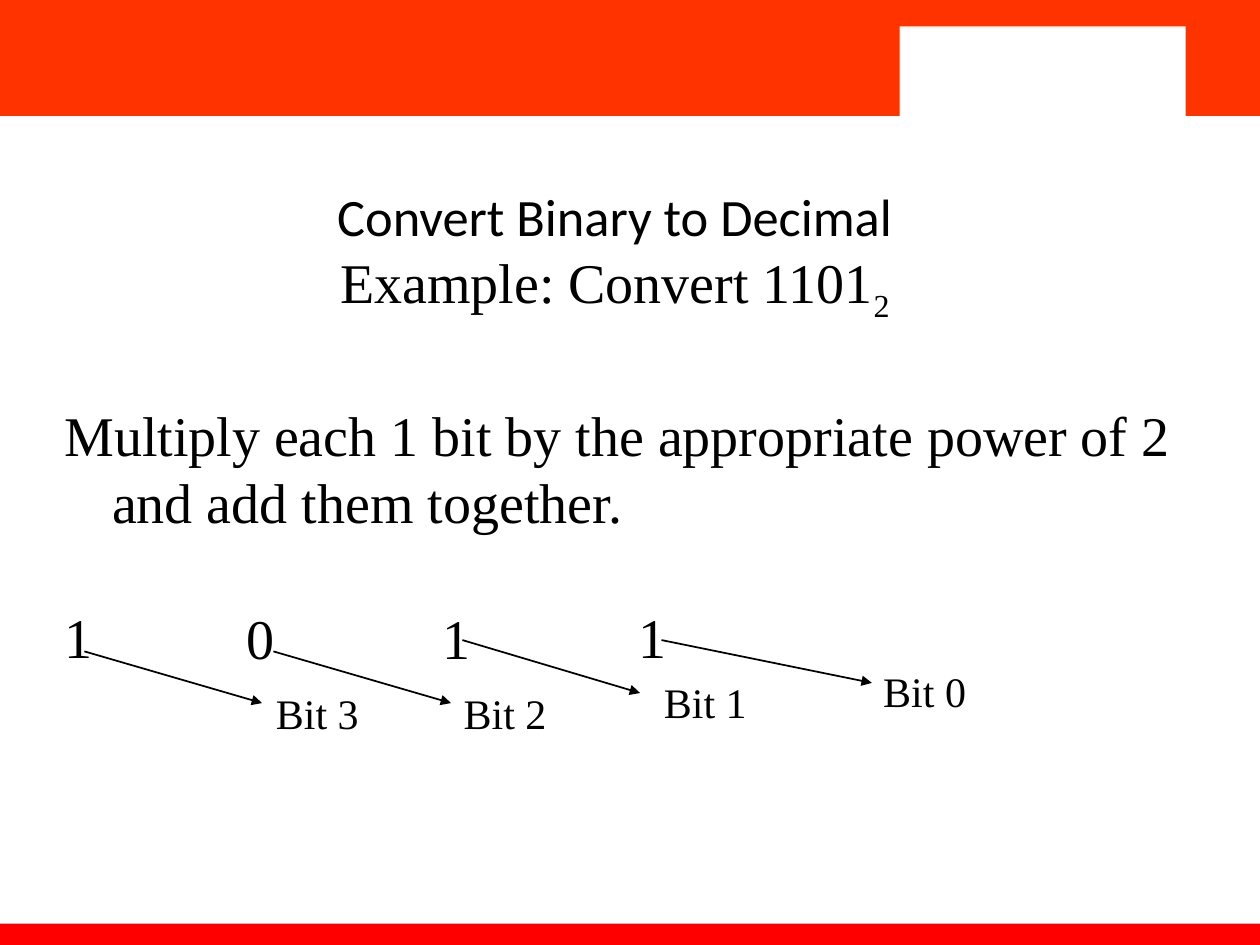
from typing import NamedTuple

from lxml import etree
from pptx import Presentation
from pptx.dml.color import RGBColor
from pptx.enum import shapes, text
from pptx.oxml.ns import qn
from pptx.util import Inches, Pt

ORANGE = RGBColor(0xFF, 0x33, 0x00)
RED = RGBColor(0xFF, 0x00, 0x00)
WHITE = RGBColor(0xFF, 0xFF, 0xFF)
BLACK = RGBColor(0x00, 0x00, 0x00)
SERIF = "Times New Roman"


class Box(NamedTuple):
    left: float
    top: float
    width: float
    height: float


class Run(NamedTuple):
    text: str
    size: float = 32
    font: str = SERIF
    baseline: int = 0


class Para(NamedTuple):
    lines: list[list[Run]]
    margin: float = 0.01
    indent: float = 0
    before: float = 0
    align: text.PP_ALIGN = text.PP_ALIGN.LEFT


class Label(NamedTuple):
    box: Box
    inset: float
    paras: list[Para]
    anchor: text.MSO_ANCHOR = text.MSO_ANCHOR.TOP


class Bar(NamedTuple):
    box: Box
    color: RGBColor


class Arrow(NamedTuple):
    x1: float
    y1: float
    x2: float
    y2: float


def line(content: str, size: float = 32) -> list[list[Run]]:
    return [[Run(content, size)]]


def bit_label(box: Box, inset: float, digit: str, name: str,
              margin: float, before: float) -> Label:
    return Label(box, inset, [Para(line(digit)),
                              Para(line(name, 24), margin, 0, before)])


BARS = [
    Bar(Box(0, 0, 10, 0.92), ORANGE),
    Bar(Box(0, 7.33, 10, 0.17), RED),
    Bar(Box(6.72, 0, 3.28, 0.92), ORANGE),
    Bar(Box(7.14, 0.21, 2.27, 0.75), WHITE),
]
TITLE = [
    [Run("Convert Binary to Decimal", 30, "Calibri")],
    [Run("Example: Convert 1101"), Run("2", 31.5, SERIF, -25000)],
]
RULE = "Multiply each 1 bit by the appropriate power of 2 and add them together."
LABELS = [
    Label(Box(0.48, 1.23, 7.67, 1.44), 0.13,
          [Para(TITLE, 1.13, align=text.PP_ALIGN.CENTER)], text.MSO_ANCHOR.MIDDLE),
    Label(Box(0.5, 3.17, 8.8, 1.1), 0.01, [Para(line(RULE), 0.39, -0.38)]),
    Label(Box(0.5, 4.77, 0.25, 0.56), 0.01, [Para(line("1"))]),
    bit_label(Box(1.95, 4.59, 0.91, 1.28), 0.2, "0", "Bit 3", 0.24, 9.8),
    bit_label(Box(3.5, 4.59, 0.85, 1.28), 0.2, "1", "Bit 2", 0.18, 9.8),
    bit_label(Box(5.06, 4.7, 0.88, 1.08), 0.08, "1", "Bit 1", 0.21, 3.8),
    Label(Box(7, 5.27, 0.69, 0.43), 0.01, [Para(line("Bit 0", 24))]),
]
ARROWS = [
    Arrow(0.67, 5.17, 2.08, 5.58),
    Arrow(2.17, 5.17, 3.58, 5.58),
    Arrow(3.67, 5.08, 5.08, 5.5),
    Arrow(5.25, 5.08, 6.92, 5.42),
]


def set_all(target: object, values: dict) -> None:
    for name, value in values.items():
        setattr(target, name, value)


def draw_bar(s, bar: Bar) -> None:
    sp = s.shapes.add_shape(shapes.MSO_SHAPE.RECTANGLE, *map(Inches, bar.box))
    sp.shadow.inherit = False
    sp.fill.solid()
    sp.fill.fore_color.rgb = bar.color
    sp.line.fill.background()


def add_run(p, run: Run) -> None:
    r = p.add_run()
    set_all(r, {"text": run.text})
    set_all(r.font, {"size": Pt(run.size), "name": run.font})
    r.font.color.rgb = BLACK
    if run.baseline:
        r._r.get_or_add_rPr().set("baseline", str(run.baseline))


def draw_label(s, label: Label) -> None:
    tf = s.shapes.add_textbox(*map(Inches, label.box)).text_frame
    set_all(tf, {"word_wrap": True, "vertical_anchor": label.anchor,
                 "margin_left": 0, "margin_right": 0, "margin_bottom": 0,
                 "margin_top": Inches(label.inset)})
    for i, para in enumerate(label.paras):
        p = tf.add_paragraph() if i else tf.paragraphs[0]
        set_all(p, {"alignment": para.align, "space_before": Pt(para.before)})
        pPr = p._p.get_or_add_pPr()
        pPr.set("marL", str(Inches(para.margin)))
        pPr.set("indent", str(Inches(para.indent)))
        for j, runs in enumerate(para.lines):
            if j:
                p.add_line_break()
            for run in runs:
                add_run(p, run)


def draw_arrow(s, arrow: Arrow) -> None:
    c = s.shapes.add_connector(shapes.MSO_CONNECTOR.STRAIGHT, *map(Inches, arrow))
    c.line.width = Pt(1)
    c.line.color.rgb = BLACK
    etree.SubElement(c.line._get_or_add_ln(), qn("a:tailEnd"), type="triangle")
    etree.SubElement(c._element.spPr, qn("a:effectLst"))


def main() -> None:
    prs = Presentation()
    set_all(prs, {"slide_width": Inches(10), "slide_height": Inches(7.5)})
    s = prs.slides.add_slide(prs.slide_layouts[6])
    for bar in BARS:
        draw_bar(s, bar)
    for label in LABELS:
        draw_label(s, label)
    for arrow in ARROWS:
        draw_arrow(s, arrow)
    prs.save("out.pptx")


if __name__ == "__main__":
    main()
